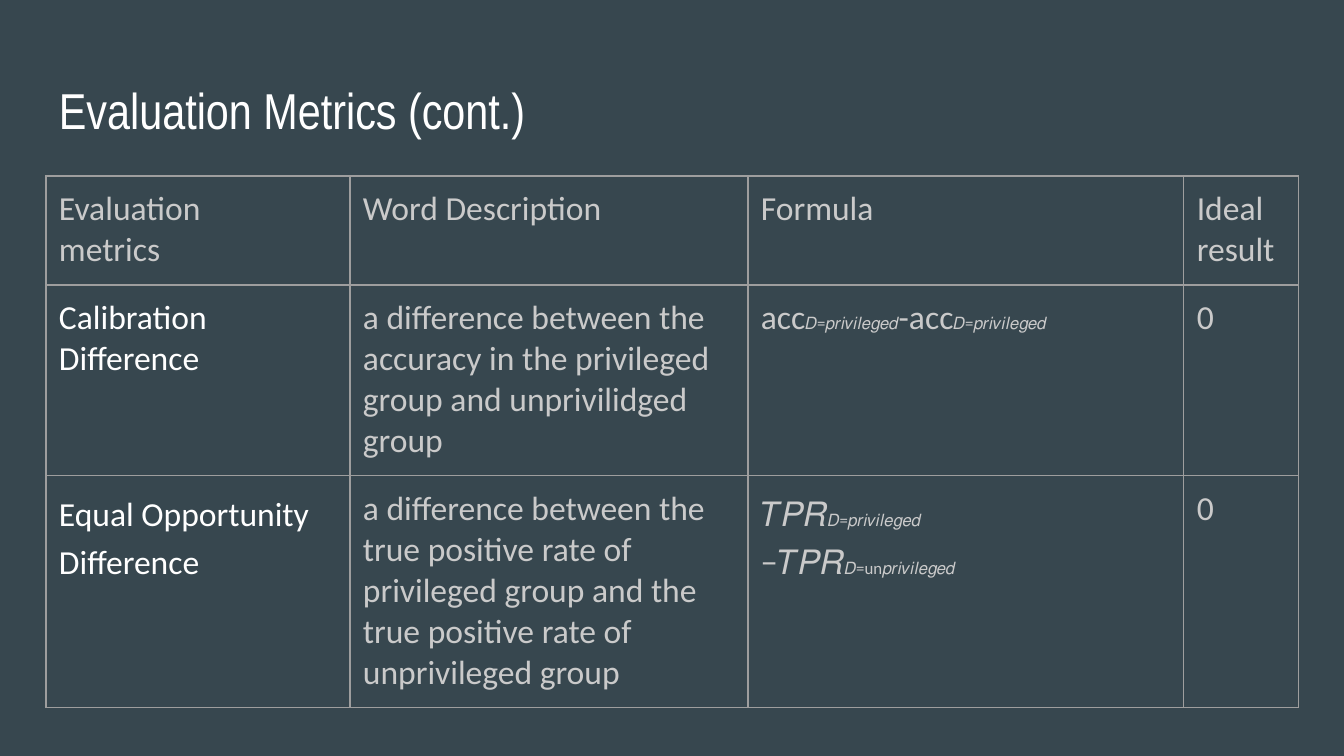
from dataclasses import dataclass

from lxml import etree
from pptx import Presentation
from pptx import util as u
from pptx.dml import color
from pptx.enum import text
from pptx.oxml import ns

EMU_PER_PX = 914400 / 134.4
COLORS = {"background": "37474F", "white": "FFFFFF", "body": "CACACA", "border": "9E9E9E"}
INSET = 13
COLUMN_WIDTHS = (304, 398, 436, 115)
ROW_HEIGHTS = (109, 191, 232)
PRIVILEGED = "𝐷=𝑝𝑟𝑖𝑣𝑖𝑙𝑒𝑔𝑒𝑑"
UNPRIVILEGED = "𝐷=un𝑝𝑟𝑖𝑣𝑖𝑙𝑒𝑔𝑒𝑑"


@dataclass(frozen=True)
class Span:
    words: str
    size: int = 18
    color: str = "body"
    font: str = "Calibri"


@dataclass(frozen=True)
class Cell:
    lines: tuple[tuple[Span, ...], ...]
    line_spacing: float = 1.0


def px(length: int) -> u.Emu:
    return u.Emu(round(length * EMU_PER_PX))


def rgb(name: str) -> color.RGBColor:
    return color.RGBColor.from_string(COLORS[name])


def set_all(target, values: dict) -> None:
    for name, value in values.items():
        setattr(target, name, value)


def plain(*lines: str, color: str = "body", line_spacing: float = 1.0) -> Cell:
    return Cell(tuple((Span(line, color=color),) for line in lines), line_spacing)


def subscript(words: str) -> Span:
    return Span(words, size=9)


ROWS = (
    (
        plain("Evaluation", "metrics"),
        plain("Word Description"),
        plain("Formula"),
        plain("Ideal result"),
    ),
    (
        plain("Calibration Difference", color="white"),
        plain("a difference between the accuracy in the privileged group and unprivilidged group"),
        Cell(((Span("acc"), subscript(PRIVILEGED), Span("-acc"), subscript(PRIVILEGED)),)),
        plain("0"),
    ),
    (
        plain("Equal Opportunity Difference", color="white", line_spacing=1.15),
        plain("a difference between the true positive rate of privileged group "
              "and the true positive rate of unprivileged group"),
        Cell(((Span("𝑇𝑃𝑅"), subscript(PRIVILEGED)),
              (Span("−𝑇𝑃𝑅"), subscript(UNPRIVILEGED))), 1.15),
        plain("0"),
    ),
)


def write_text(frame, content: Cell) -> None:
    frame.word_wrap = True
    for index, line in enumerate(content.lines):
        paragraph = frame.paragraphs[0] if index == 0 else frame.add_paragraph()
        paragraph.line_spacing = content.line_spacing
        for span in line:
            run = paragraph.add_run()
            run.text = span.words
            set_all(run.font, {"name": span.font, "size": u.Pt(span.size)})
            run.font.color.rgb = rgb(span.color)


def add_borders(cell) -> None:
    properties = cell._tc.get_or_add_tcPr()
    for side in ("lnL", "lnR", "lnT", "lnB"):
        line = etree.SubElement(properties, ns.qn(f"a:{side}"), w=str(u.Pt(0.75)))
        fill = etree.SubElement(line, ns.qn("a:solidFill"))
        etree.SubElement(fill, ns.qn("a:srgbClr"), val=COLORS["border"])


def add_title(slide, title: Span) -> None:
    shape = slide.shapes.add_textbox(px(46), px(66), px(1253), px(85))
    margins = {f"margin_{side}": px(INSET) for side in ("left", "right", "top", "bottom")}
    set_all(shape.text_frame, margins | {"vertical_anchor": text.MSO_ANCHOR.TOP})
    write_text(shape.text_frame, Cell(((title,),)))


def add_metrics_table(slide) -> None:
    frame = slide.shapes.add_table(
        len(ROWS), len(COLUMN_WIDTHS), px(46), px(176),
        px(sum(COLUMN_WIDTHS)), px(sum(ROW_HEIGHTS)))
    table = frame.table
    set_all(table, {"first_row": False, "horz_banding": False})
    for column, width in zip(table.columns, COLUMN_WIDTHS):
        column.width = px(width)
    margins = {f"margin_{side}": px(INSET) for side in ("left", "right", "top", "bottom")}
    for row, height, contents in zip(table.rows, ROW_HEIGHTS, ROWS):
        row.height = px(height)
        for cell, content in zip(row.cells, contents):
            set_all(cell, margins | {"vertical_anchor": text.MSO_ANCHOR.TOP})
            add_borders(cell)
            cell.fill.background()
            write_text(cell.text_frame, content)


def main() -> None:
    presentation = Presentation()
    set_all(presentation, {"slide_width": px(1344), "slide_height": px(756)})
    slide = presentation.slides.add_slide(presentation.slide_layouts[6])
    slide.background.fill.solid()
    slide.background.fill.fore_color.rgb = rgb("background")
    add_title(slide, Span("Evaluation Metrics (cont.)", 27, "white", "Arial Narrow"))
    add_metrics_table(slide)
    presentation.save("out.pptx")


if __name__ == "__main__":
    main()
